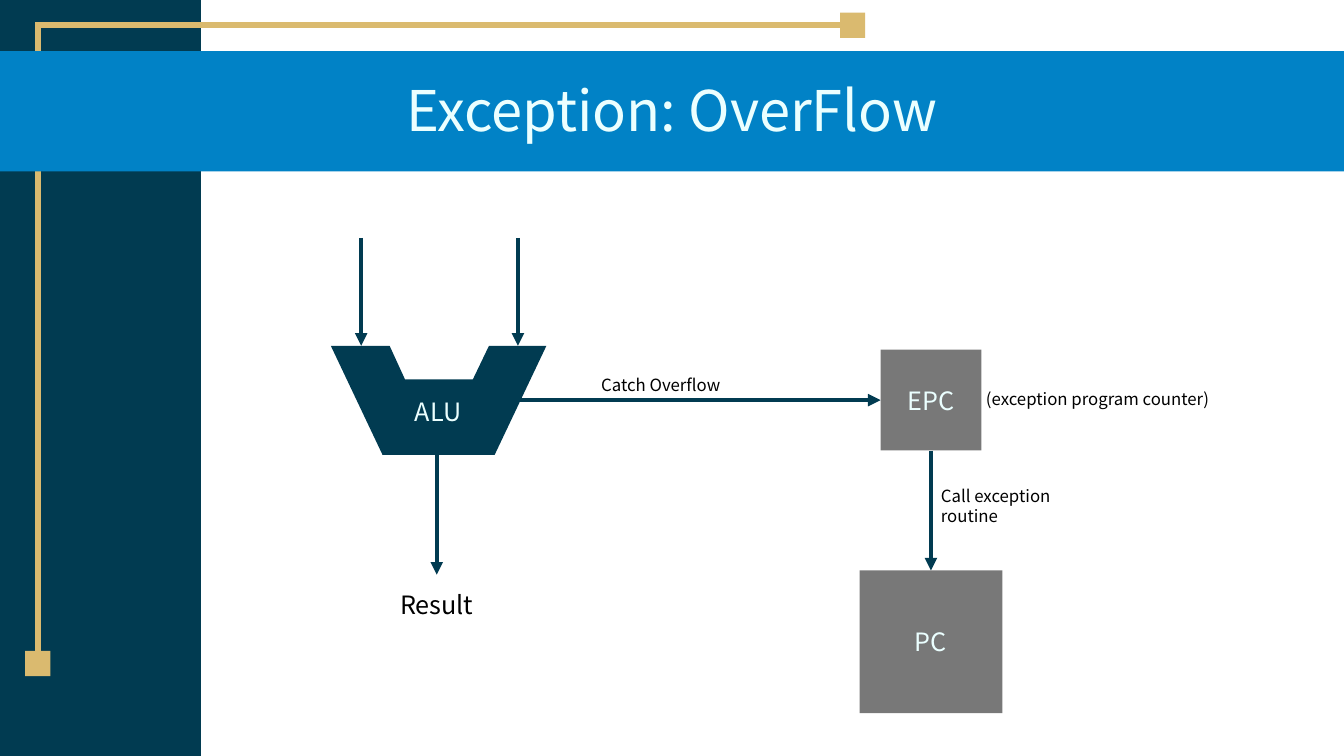
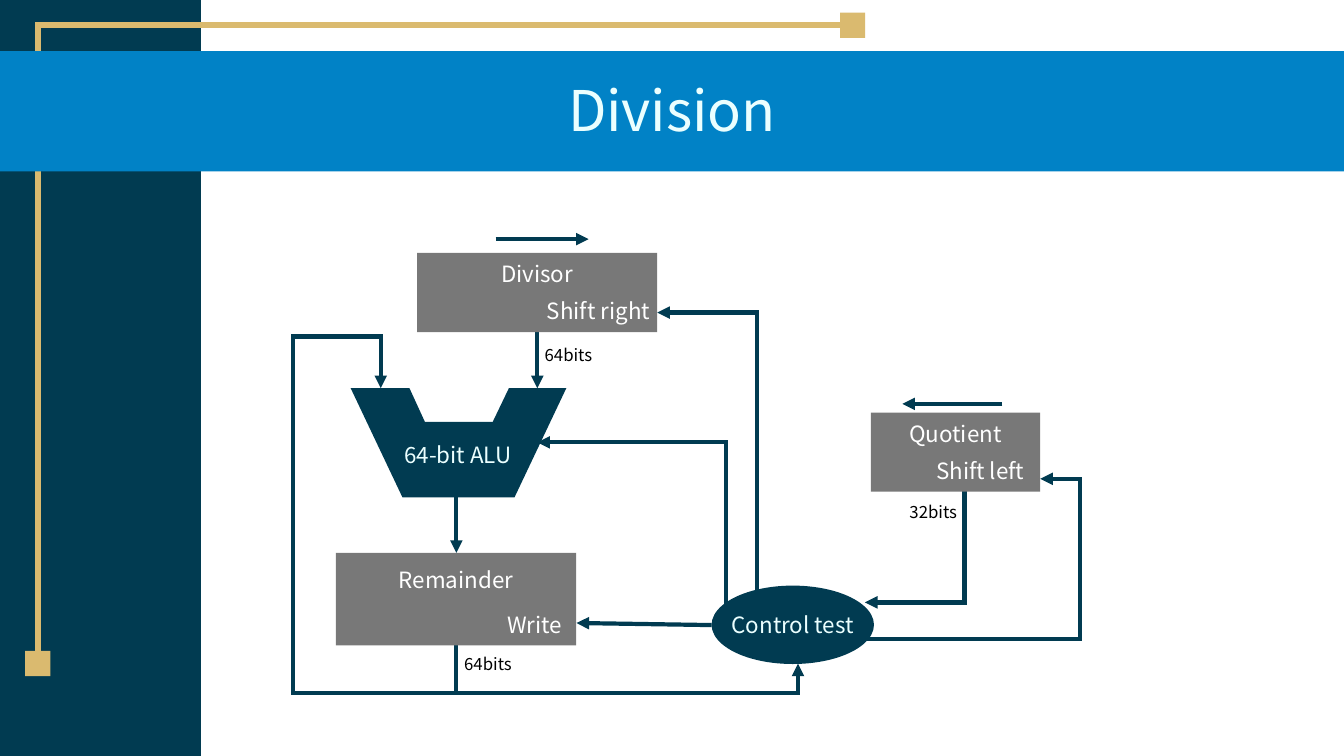
from lxml import etree
from pptx import Presentation
from pptx.dml.color import RGBColor
from pptx.enum.shapes import MSO_CONNECTOR, MSO_SHAPE
from pptx.enum.text import MSO_ANCHOR, MSO_AUTO_SIZE, PP_ALIGN
from pptx.oxml.ns import qn
from pptx.util import Pt

LINE = MSO_CONNECTOR.STRAIGHT
RECT, OVAL = MSO_SHAPE.RECTANGLE, MSO_SHAPE.OVAL
MID, BASE = MSO_ANCHOR.MIDDLE, MSO_ANCHOR.BOTTOM
LEFT, CENTER, RIGHT = PP_ALIGN.LEFT, PP_ALIGN.CENTER, PP_ALIGN.RIGHT
FIXED = MSO_AUTO_SIZE.NONE
FONT = "Noto Sans CJK KR"
NAVY, BLUE, GOLD, GRAY = "013B51", "0182C6", "DABA6F", "787878"
PALE, WHITE, BLACK = "EBFFFF", "FFFFFF", "000000"
ALU = [(0, 0), (42, 0), (53, 24), (101.5, 24), (113, 0),
       (154, 0), (117, 78), (37, 78)]


def paint(part, tint):
    part.solid()
    part.fore_color.rgb = RGBColor.from_string(tint)


def apply(item, values):
    for name, value in values.items():
        setattr(item, name, value)


def points(values):
    return [Pt(value) for value in values]


def write(shape, text, size, tint, align=CENTER, anchor=MID, wrap=True):
    frame = shape.text_frame
    frame.text = text
    apply(frame, {"word_wrap": wrap, "auto_size": FIXED,
                  "vertical_anchor": anchor})
    para = frame.paragraphs[0]
    para.alignment = align
    font = para.runs[0].font
    apply(font, {"name": FONT, "size": Pt(size)})
    paint(font.fill, tint)


def style(shape, tint):
    shape.shadow.inherit = False
    paint(shape.fill, tint)
    shape.line.fill.background()


def block(slide, spot, tint, text="", size=18, kind=RECT):
    shape = slide.shapes.add_shape(kind, *points(spot))
    style(shape, tint)
    if text:
        write(shape, text, size, PALE, wrap=False)
    return shape


def label(slide, spot, text, size, tint, align=CENTER):
    write(slide.shapes.add_textbox(*points(spot)), text, size, tint, align)


def wire(slide, start, end, arrow, tint, width):
    link = slide.shapes.add_connector(LINE, *points(start + end))
    paint(link.line.fill, tint)
    link.line.width = Pt(width)
    props = link.element.spPr
    etree.SubElement(props, qn("a:effectLst"))
    edge = props.find(qn("a:ln"))
    if arrow:
        etree.SubElement(edge, qn("a:tailEnd"), type="triangle")
    else:
        edge.set("cap", "sq")
    return link


def route(slide, stops, arrow=True, tint=NAVY, width=3):
    last = len(stops) - 2
    return [wire(slide, start, end, arrow and step == last, tint, width)
            for step, (start, end) in enumerate(zip(stops, stops[1:]))]


def unit(slide, left, top):
    spots = [points((left + x, top + y)) for x, y in ALU]
    outline = slide.shapes.build_freeform(*spots[0])
    outline.add_line_segments(spots[1:])
    style(outline.convert_to_shape(), NAVY)


def theme(slide, layout):
    parts = [block(slide, (0, 0, 143.5, 540), NAVY)]
    parts += route(slide, [(27, 465), (27, 18), (600, 18)], False, GOLD, 4.5)
    for left, top in [(600, 9), (18, 465)]:
        parts.append(block(slide, (left, top, 18, 18), GOLD))
    parts.append(block(slide, (0, 36.5, 960, 86), BLUE))
    for part in parts:
        layout.shapes.element.append(part.element)
    spot = zip(("left", "top", "width", "height"), points((7, 47.5, 946, 59)))
    apply(layout.placeholders[0], dict(spot))


def head(slide, text):
    title = slide.shapes.title
    write(title, text, 40, PALE, anchor=BASE)
    title.text_frame.paragraphs[0].line_spacing = 0.9


def trap(slide):
    head(slide, "Exception: OverFlow")
    for stops in [
        [(258, 170), (258, 247)],
        [(370, 170), (370, 247)],
        [(312, 324.5), (312, 410.5)],
        [(370, 285.8), (629, 285.8)],
        [(665, 321.8), (665, 407.5)],
    ]:
        route(slide, stops)
    unit(slide, 236.3, 247)
    block(slide, (629, 249.8, 72, 72), GRAY, "EPC")
    block(slide, (614, 407.5, 102, 102), GRAY, "PC")
    label(slide, (277, 258, 72, 72), "ALU", 18, PALE)
    label(slide, (260.5, 410.5, 103, 42.5), "Result", 18, BLACK)
    label(slide, (694, 249, 180, 72), "(exception program counter)", 12, BLACK)
    label(slide, (382, 239, 180, 72), "Catch Overflow", 12, BLACK)
    label(slide, (665, 310.3, 116, 102), "Call exception routine", 12, BLACK,
          LEFT)


def divide(slide):
    head(slide, "Division")
    for stops in [
        [(354, 170.8), (420.5, 170.8)],
        [(716, 288.5), (644.5, 288.5)],
        [(383.8, 237), (383.8, 277.3)],
        [(326, 355), (326, 395)],
        [(326, 461), (326, 495), (570, 495), (570, 474)],
        [(326, 495), (209.5, 495), (209.5, 240.3), (272, 240.3),
         (272, 277.3)],
        [(540.8, 424), (540.8, 223.3), (469.5, 223.3)],
        [(518.5, 435.5), (518.5, 316), (383.8, 316)],
        [(508.3, 446.5), (411.8, 445)],
        [(689, 351.5), (689, 430.3), (617.8, 430.3)],
        [(617, 456.5), (771.5, 456.5), (771.5, 342), (743, 342)],
    ]:
        route(slide, stops)
    unit(slide, 250.5, 277.3)
    for spot in [(240, 395, 171.5, 66), (298, 180.7, 171.5, 56.5),
                 (622, 294.7, 121, 56.5)]:
        block(slide, spot, GRAY)
    block(slide, (508.3, 418.3, 116, 56), NAVY, "Control test", 16, OVAL)
    label(slide, (276.5, 288.7, 101, 72), "64-bit ALU", 16, PALE)
    for left, top, width, text in [
        (274.3, 397.7, 103, "Remainder"),
        (348.3, 430, 67, "Write"),
        (318.7, 179.5, 130, "Divisor"),
        (381, 205.7, 93, "Shift right"),
        (617.5, 293.7, 130, "Quotient"),
        (651.3, 319.7, 98, "Shift left"),
    ]:
        label(slide, (left, top, width, 32.5), text, 16, WHITE)
    for left, top, text, align in [
        (382, 235.3, "64bits", LEFT),
        (324.5, 455.7, "64bits", LEFT),
        (634.8, 347, "32bits", RIGHT),
    ]:
        label(slide, (left, top, 56, 36.5), text, 12, BLACK, align)


def main():
    deck = Presentation()
    apply(deck, {"slide_width": Pt(960), "slide_height": Pt(540)})
    layout = deck.slide_layouts[5]
    first, second = [deck.slides.add_slide(layout) for _ in range(2)]
    theme(first, layout)
    trap(first)
    divide(second)
    deck.save("out.pptx")


main()
